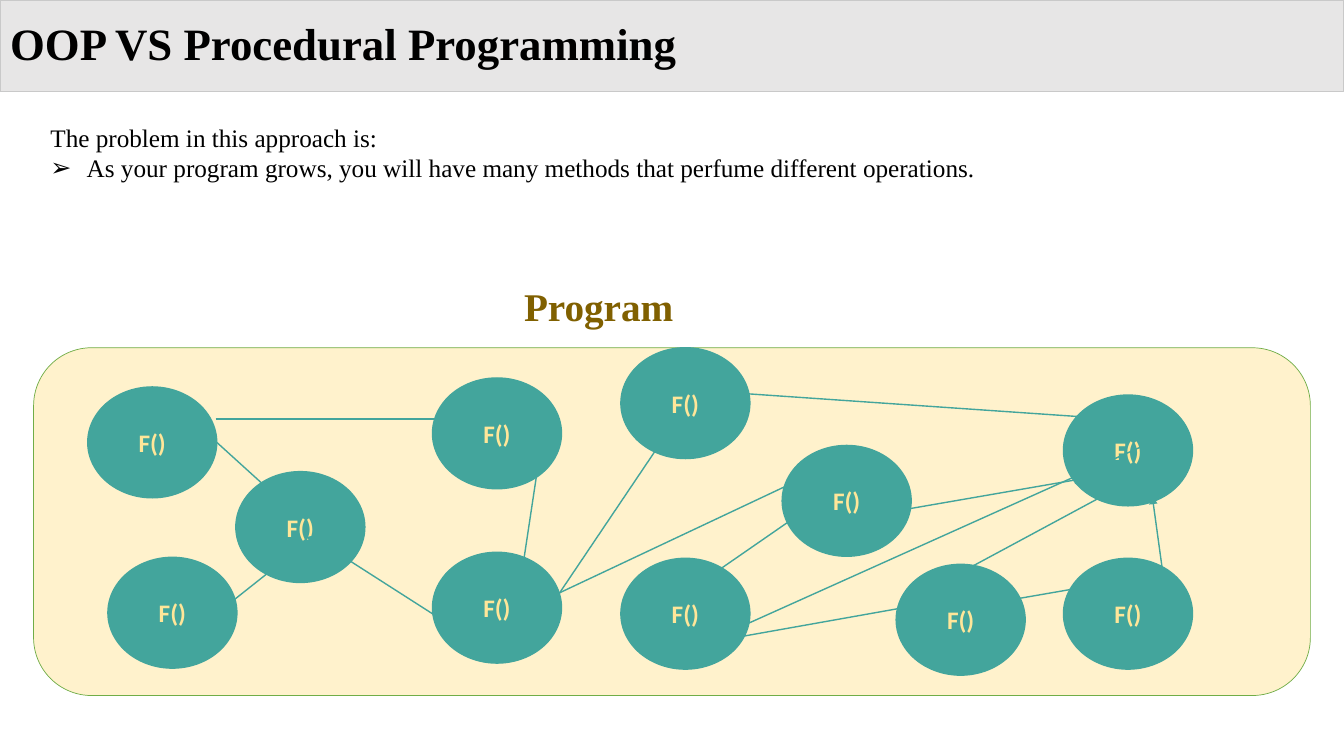
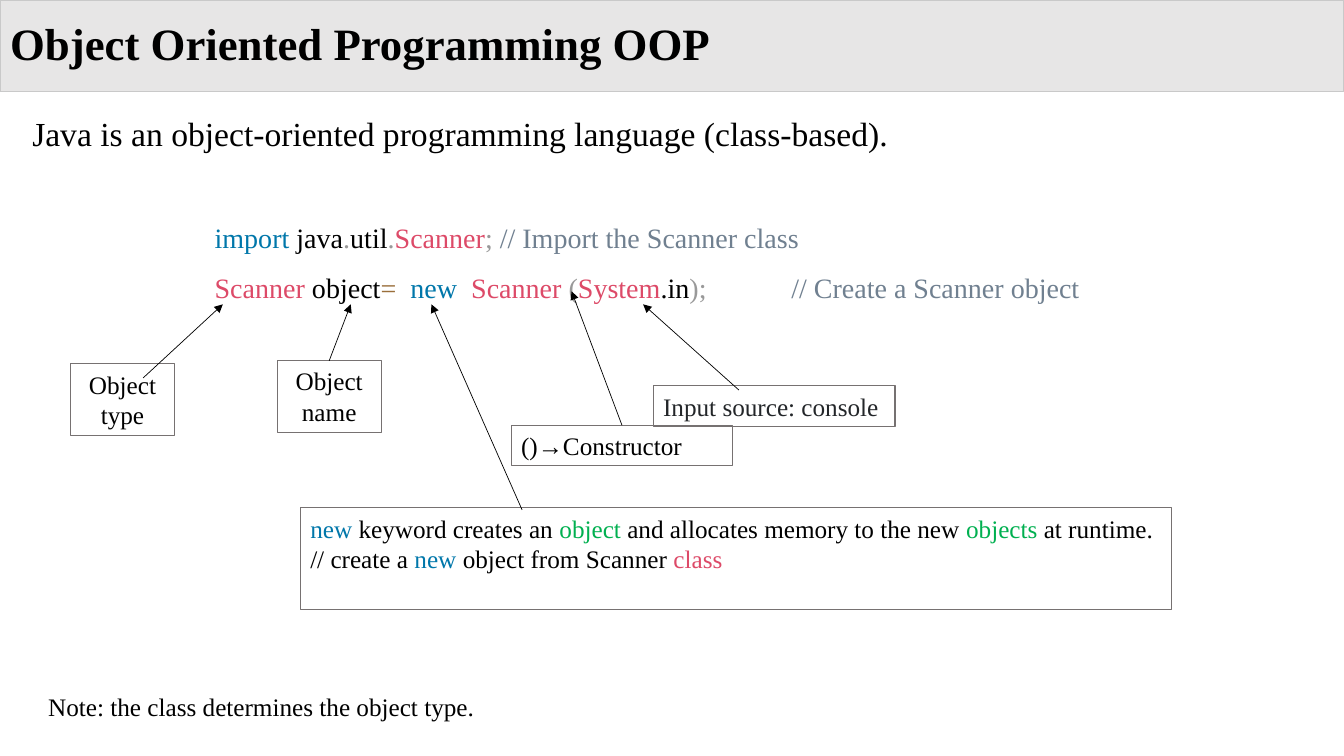
from typing import NamedTuple

from pptx import Presentation
from pptx import util as u
from pptx.dml.color import RGBColor
from pptx.enum import shapes, text
from pptx.oxml.ns import qn
from lxml import etree

# Square grid: 100 columns across the slide
SLIDE_WIDTH, SLIDE_HEIGHT = u.Inches(13.33), u.Inches(7.5)
CELL = SLIDE_WIDTH / 100

SERIF, SANS = "Times New Roman", "Calibri"
COLORS = {
    "black": "000000", "band": "E7E6E6", "band line": "C9C9C9",
    "panel": "FFF2CC", "panel line": "70AD47", "heading": "806000",
    "function": "43A59C", "function text": "FFE699", "box line": "767171",
    "keyword": "0077AA", "class": "DD4A68", "mark": "999999",
    "operator": "9A6E3A", "comment": "708090", "object": "00B050",
    "input": "232629",
}


class Box(NamedTuple):
    column: float
    row: float
    columns: float
    rows: float


class Link(NamedTuple):
    from_column: float
    from_row: float
    to_column: float
    to_row: float


class Run(NamedTuple):
    text: str
    color: str = "black"


class Callout(NamedTuple):
    box: Box
    paragraphs: list
    arrow: Link
    centered: bool = False
    joined: bool = False


# Slide 1 content
FUNCTION_COLUMNS, FUNCTION_ROWS = 9.6, 8.25
FUNCTIONS = [
    (32.18, 28.13), (32.18, 41.1), (6.53, 28.8), (8.03, 41.48),
    (79.13, 29.4), (79.13, 41.55), (58.2, 33.15), (17.55, 35.1),
    (46.2, 41.55), (46.2, 25.88), (66.68, 42),
]
CALLS = [
    Link(16.05, 31.2, 33.75, 31.2),
    Link(16.05, 32.85, 20.93, 37.28),
    Link(35.93, 48.08, 25.5, 41.4),
    Link(14.03, 47.33, 23.48, 39.83),
    Link(37.95, 48.45, 40.28, 33),
    Link(38.93, 48.15, 49.43, 32.55),
    Link(49.43, 45.23, 60.38, 37.65),
    Link(39.6, 45.08, 60.6, 35.18),
    Link(52.88, 47.78, 70.2, 44.7),
    Link(63.23, 38.63, 80.55, 35.63),
    Link(69.23, 45.68, 86.55, 42.68),
    Link(69.83, 43.5, 84.45, 35.63),
    Link(86.93, 45.6, 85.73, 36.9),
    Link(85.28, 31.35, 54.75, 29.25),
    Link(86.48, 32.55, 53.1, 47.55),
]

# Slide 2 content
CODE = [
    [Run("import ", "keyword"), Run("java"), Run(".", "mark"), Run("util"),
     Run(".", "mark"), Run("Scanner", "class"), Run("; ", "mark"),
     Run("// Import the Scanner class", "comment")],
    [Run("Scanner", "class"), Run(" object"), Run("=  ", "operator"),
     Run("new  ", "keyword"), Run("Scanner ", "class"), Run("(", "mark"),
     Run("System", "class"), Run(".in"), Run(");\t", "mark"),
     Run("// Create a Scanner object", "comment")],
]
CALLOUTS = [
    Callout(Box(20.63, 26.85, 7.73, 5.33), [[Run("Object name")]],
            Link(24.83, 27.08, 26.1, 22.65), centered=True, joined=True),
    Callout(Box(5.25, 27.08, 7.73, 5.33), [[Run("Object")], [Run("type")]],
            Link(10.65, 28.13, 16.58, 22.65), centered=True),
    Callout(Box(22.35, 37.8, 64.8, 7.58),
            [[Run("new", "keyword"), Run(" keyword creates an "),
              Run("object", "object"),
              Run(" and allocates memory to the new "),
              Run("objects", "object"), Run(" at runtime.")],
             [Run("// create a "), Run("new", "keyword"),
              Run(" object from Scanner "), Run("class", "class")]],
            Link(38.85, 37.95, 32.1, 22.65)),
    Callout(Box(48.6, 28.73, 18, 3),
            [[Run("Input source: console", "input")]],
            Link(54.98, 29.03, 47.85, 22.65)),
    Callout(Box(38.03, 31.65, 16.5, 3), [[Run("()→Constructor")]],
            Link(45.75, 31.43, 42.53, 21.68), joined=True),
]


def grid(*cells: float) -> list[u.Emu]:
    return [u.Emu(round(cell * CELL)) for cell in cells]


def rgb(name: str) -> RGBColor:
    return RGBColor.from_string(COLORS[name])


def write(shape, paragraphs: list, *, size: float = 18, font: str = SERIF,
          bold: bool = False, align=text.PP_ALIGN.LEFT,
          anchor=text.MSO_ANCHOR.TOP, spacing: float = 1.0,
          wrap: bool = True) -> None:
    """Fill a shape with paragraphs, each a list of runs."""
    frame = shape.text_frame
    frame.word_wrap = wrap
    frame.auto_size = text.MSO_AUTO_SIZE.NONE
    frame.vertical_anchor = anchor
    for index, runs in enumerate(paragraphs):
        paragraph = frame.add_paragraph() if index else frame.paragraphs[0]
        paragraph.alignment = align
        paragraph.line_spacing = spacing
        paragraph.space_before = u.Pt(0)
        for content, color in runs:
            run = paragraph.add_run()
            run.text = content
            run.font.size, run.font.name = u.Pt(size), font
            run.font.bold = bold
            run.font.color.rgb = rgb(color)


def set_bullet(paragraph, character: str = "", indent: float = 0) -> None:
    properties = paragraph._p.get_or_add_pPr()
    properties.set("marL", str(u.Inches(indent)))
    properties.set("indent", str(-u.Inches(indent)))
    if character:
        etree.SubElement(properties, qn("a:buChar"), char=character)
    else:
        etree.SubElement(properties, qn("a:buNone"))


def add_tab_stop(paragraph, position: float) -> None:
    tabs = etree.SubElement(paragraph._p.get_or_add_pPr(), qn("a:tabLst"))
    etree.SubElement(tabs, qn("a:tab"), pos=str(u.Inches(position)), algn="l")


def place(shape, box: Box) -> None:
    shape.left, shape.top, shape.width, shape.height = grid(*box)


def paint(shape, line: str, width: float, fill: str = "") -> None:
    if fill:
        shape.fill.solid()
        shape.fill.fore_color.rgb = rgb(fill)
    else:
        shape.fill.background()
    shape.line.color.rgb = rgb(line)
    shape.line.width = u.Pt(width)


def add_shape(slide, kind, box: Box, line: str, width: float, fill: str = ""):
    shape = slide.shapes.add_shape(kind, *grid(*box))
    shape.shadow.inherit = False
    paint(shape, line, width, fill)
    return shape


def add_text(slide, box: Box, paragraphs: list, **text_format):
    shape = slide.shapes.add_textbox(*grid(*box))
    write(shape, paragraphs, **text_format)
    return shape


def add_arrow(slide, link: Link, color: str, width: float):
    arrow = slide.shapes.add_connector(
        shapes.MSO_CONNECTOR.STRAIGHT, *grid(*link))
    arrow.line.color.rgb = rgb(color)
    arrow.line.width = u.Pt(width)
    etree.SubElement(arrow.line._get_or_add_ln(), qn("a:tailEnd"),
                     type="triangle")
    etree.SubElement(arrow._element.spPr, qn("a:effectLst"))
    return arrow


def add_slide(presentation, title: str, body_box: Box, body: list,
              body_size: float):
    """Add a slide with the shared title band and a body text."""
    slide = presentation.slides.add_slide(presentation.slide_layouts[1])
    band, content = slide.shapes.title, slide.placeholders[1]
    place(band, Box(0, 0, 100, 6.83))
    paint(band, "band line", 0.75, "band")
    write(band, [[Run(title)]], size=32, bold=True, spacing=0.9,
          anchor=text.MSO_ANCHOR.MIDDLE)
    place(content, body_box)
    write(content, body, size=body_size)
    set_bullet(content.text_frame.paragraphs[0])
    return slide


def build_comparison(presentation) -> None:
    slide = add_slide(
        presentation, "OOP VS Procedural Programming",
        Box(3, 8.7, 71.93, 7.58),
        [[Run("The problem in this approach is:")],
         [Run("As your program grows, you will have many methods that "
              "perfume different operations.")]], 18)
    set_bullet(slide.placeholders[1].text_frame.paragraphs[1], "➢", 0.36)

    # Program panel with its functions and calls
    add_shape(slide, shapes.MSO_SHAPE.ROUNDED_RECTANGLE,
              Box(2.5, 25.88, 95, 25.88), "panel line", 0.5, "panel")
    add_text(slide, Box(38.25, 20.63, 12.75, 4.28),
             [[Run("Program", "heading")]], size=28, bold=True, wrap=False)
    for column, row in FUNCTIONS:
        function = add_shape(
            slide, shapes.MSO_SHAPE.OVAL,
            Box(column, row, FUNCTION_COLUMNS, FUNCTION_ROWS),
            "function", 1, "function")
        write(function, [[Run("F()", "function text")]], font=SANS, bold=True,
              align=text.PP_ALIGN.CENTER, anchor=text.MSO_ANCHOR.MIDDLE)
    for call in CALLS:
        add_arrow(slide, call, "function", 1)


def build_scanner(presentation) -> None:
    slide = add_slide(
        presentation, "Object Oriented Programming OOP",
        Box(1.65, 8.03, 96, 6.83),
        [[Run("Java is an object-oriented programming language "
              "(class-based).")]], 24)

    # Code lines
    code = add_text(slide, Box(15.23, 14.78, 78.53, 7.88), CODE,
                    size=20, spacing=1.5)
    add_tab_stop(code.text_frame.paragraphs[1], 5.72)

    # Explanations pointing at the code
    for callout in CALLOUTS:
        shape = add_shape(slide, shapes.MSO_SHAPE.RECTANGLE, callout.box,
                          "box line", 0.75)
        align = text.PP_ALIGN.CENTER if callout.centered else text.PP_ALIGN.LEFT
        write(shape, callout.paragraphs, align=align)
        arrow = add_arrow(slide, callout.arrow, "black", 0.5)
        if callout.joined:
            arrow.begin_connect(shape, 0)

    add_text(slide, Box(2.85, 51.08, 34.13, 3),
             [[Run("Note: the class determines the object type.")]])


def main() -> None:
    presentation = Presentation()
    presentation.slide_width = SLIDE_WIDTH
    presentation.slide_height = SLIDE_HEIGHT
    build_comparison(presentation)
    build_scanner(presentation)
    presentation.save("out.pptx")


if __name__ == "__main__":
    main()
